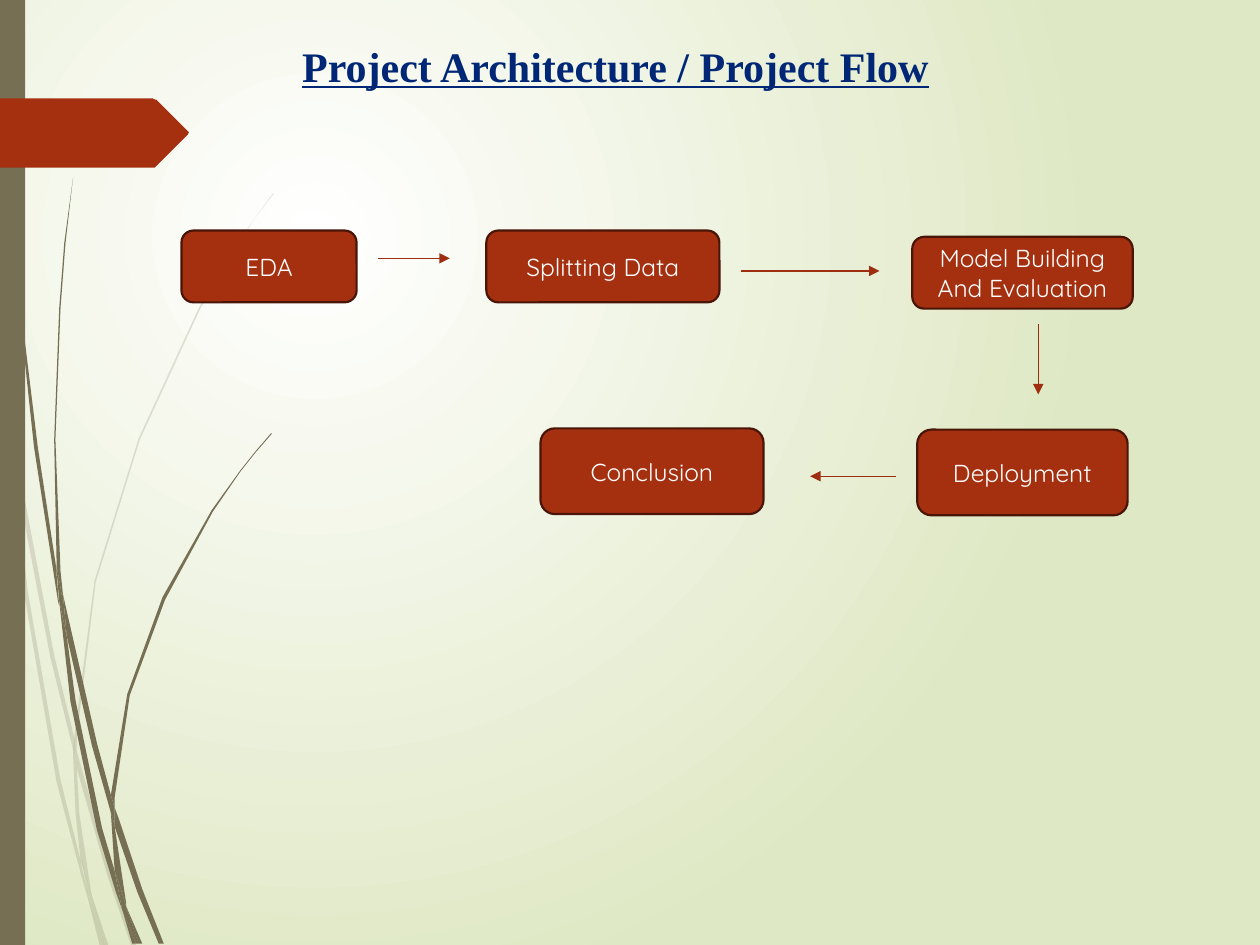
from dataclasses import dataclass

from lxml import etree
from pptx import Presentation
from pptx.dml.color import RGBColor as RGB
from pptx.enum.shapes import MSO_CONNECTOR as CONN, MSO_SHAPE as SHAPE
from pptx.enum.text import MSO_ANCHOR as ANCHOR, MSO_AUTO_SIZE as AUTO, PP_ALIGN as ALIGN
from pptx.oxml.ns import qn
from pptx.util import Inches, Pt


@dataclass(frozen=True)
class Theme:
    accent: RGB = RGB.from_string("A53010")
    border: RGB = RGB.from_string("481507")
    arrow: RGB = RGB.from_string("9E2E0F")
    olive: RGB = RGB.from_string("766F54")
    title: RGB = RGB.from_string("002776")
    white: RGB = RGB.from_string("FFFFFF")
    edge: RGB = RGB.from_string("DFE8C4")
    title_font: str = "Times New Roman"
    node_font: str = "Quicksand"
    title_size: Pt = Pt(24)
    node_size: Pt = Pt(14)
    border_width: Pt = Pt(1.25)
    arrow_width: Pt = Pt(0.75)
    pale_alpha: int = 20


@dataclass(frozen=True)
class Box:
    x: float
    y: float
    w: float
    h: float

    def inches(self):
        return [Inches(v) for v in (self.x, self.y, self.w, self.h)]

    def at(self, x, y):
        return Inches(self.x + x), Inches(self.y + y)


THEME = Theme()

# Grass blades: outline points in inches from the top left of their box
PALE_BLADES = [
    [(.08, 3.5), (.06, 3.22), (0, 2.82), (0, 2.99), (.07, 3.44)],
    [(.4, 5.22), (.59, 5.99), (.59, 5.86), (.43, 5.2), (.1, 3.45), (.12, 3.76)],
    [(.64, 6.07), (.61, 5.96), (.61, 6.1), (.85, 6.94), (1.04, 7.5), (1.08, 7.5),
     (.88, 6.92)],
    [(.83, 7.5), (.86, 7.5), (.73, 7.11)],
    [(.64, 6.83), (.48, 6.19), (.22, 4.69), (.12, 3.76), (.08, 3.5), (.19, 4.7),
     (.45, 6.21), (.64, 6.93), (.7, 7.14), (.69, 7.07)],
    [(.58, 5.99), (.6, 6.46), (.64, 6.83), (.67, 6.92), (.73, 7.11), (.72, 7.06),
     (.63, 6.46), (.61, 6.1), (.61, 6.08)],
    [(.61, 5.84), (.76, 4.62), (1.11, 3.49), (1.59, 2.45), (1.87, 1.98), (2.01, 1.75),
     (2.17, 1.54), (2.17, 1.53), (2.01, 1.75), (1.86, 1.97), (1.58, 2.44),
     (1.1, 3.48), (.75, 4.61), (.59, 5.84), (.59, 5.86), (.61, 5.96)],
    [(.7, 7.14), (.79, 7.5), (.82, 7.5)],
    [(.61, 6.08), (.61, 6.1), (.61, 5.96), (.59, 5.86), (.58, 5.99)],
    [(.67, 6.92), (.65, 6.83), (.69, 7.07), (.7, 7.14), (.82, 7.5), (.83, 7.5),
     (.73, 7.11)],
]
DARK_BLADES = [
    [(.05, 1.1), (.14, 2.33), (.27, 3.55), (.46, 4.77), (.47, 4.81), (.45, 4.57),
     (.45, 4.53), (.3, 3.55), (.15, 2.32), (.06, 1.09), (.04, .48), (.03, 0),
     (.02, 0), (.03, .48)],
    [(.73, 5.92), (.88, 6.45), (.88, 6.33), (.88, 6.31), (.77, 5.9), (.5, 4.72),
     (.53, 5.05)],
    [(.94, 6.49), (.91, 6.41), (.91, 6.56), (1.09, 7.08), (1.26, 7.49), (1.3, 7.49),
     (1.13, 7.06)],
    [(.91, 6.91), (.81, 6.57), (.6, 5.56), (.53, 5.05), (.47, 4.77), (.56, 5.57),
     (.77, 6.59), (.92, 7.08), (.97, 7.22), (.96, 7.17)],
    [(.5, 4.72), (.48, 4.53), (.44, 3.49), (.48, 2.45), (.52, 1.93), (.58, 1.41),
     (.51, 1.93), (.47, 2.45), (.43, 3.49), (.45, 4.49), (.49, 4.72)],
    [(1.1, 7.49), (1.13, 7.49), (1, 7.19)],
    [(.47, 4.77), (.53, 5.05), (.5, 4.72), (.49, 4.72), (.45, 4.49), (.45, 4.53)],
    [(.91, 6.33), (1.03, 5.52), (1.31, 4.76), (1.69, 4.06), (1.91, 3.74), (2.03, 3.59),
     (2.16, 3.44), (2.15, 3.44), (2.03, 3.58), (1.91, 3.73), (1.68, 4.05),
     (1.29, 4.74), (1.01, 5.51), (.88, 6.31), (.91, 6.41)],
    [(.97, 7.22), (1.05, 7.49), (1.08, 7.49)],
    [(.88, 6.45), (.91, 6.91), (.96, 7.06), (1, 7.19), (1, 7.16), (.91, 6.56),
     (.9, 6.51)],
    [(.88, 6.45), (.9, 6.51), (.91, 6.56), (.91, 6.41), (.88, 6.31), (.88, 6.33)],
    [(.96, 7.06), (.91, 6.91), (.96, 7.17), (.97, 7.22), (1.08, 7.49), (1.1, 7.49),
     (1, 7.19)],
]
FLAG = [(1.49, .29), (1.24, .54), (1.23, .55), (1.21, .55), (0, .55), (0, 0),
        (1.21, 0), (1.23, .01), (1.24, .01), (1.49, .26), (1.5, .27)]

# Flow steps and arrows, in inches from the top left of the flow box
STEPS = [
    ("EDA", 0, 0, 1.39, .57),
    ("Splitting Data", 2.42, 0, 1.85, .57),
    ("Model Building\nAnd Evaluation", 5.8, .05, 1.75, .57),
    ("Deployment", 5.84, 1.58, 1.67, .68),
    ("Conclusion", 2.85, 1.57, 1.77, .68),
]
ARROWS = [
    ((1.56, .22), (2.13, .22)),
    ((4.44, .32), (5.54, .32)),
    ((6.8, .74), (6.8, 1.3)),
    ((5.67, 1.95), (4.99, 1.95)),
]


def paint(sp, color):
    sp.shadow.inherit = False
    sp.fill.solid()
    sp.fill.fore_color.rgb = color
    sp.line.fill.background()


def add_outline(shapes, box, points, color, alpha=100):
    start, *rest = [box.at(*point) for point in points]
    builder = shapes.build_freeform(*start)
    builder.add_line_segments(rest, close=True)
    sp = builder.convert_to_shape()
    paint(sp, color)
    if alpha < 100:
        clr = sp._element.spPr.find(qn("a:solidFill"))[0]
        etree.SubElement(clr, qn("a:alpha"), val=str(alpha * 1000))


def set_background(slide):
    fill = slide.background.fill
    fill.gradient()
    for stop, color in zip(fill.gradient_stops, (THEME.white, THEME.edge)):
        stop.color.rgb = color
    # Radial gradient instead of the default linear one
    grad = slide._element.find(".//" + qn("a:gradFill"))
    grad.remove(grad.find(qn("a:lin")))
    radial = etree.SubElement(grad, qn("a:path"), path="circle")
    etree.SubElement(radial, qn("a:fillToRect"), l="50000", t="50000",
                     r="100000", b="100000")


def add_decoration(slide, box):
    # Grass blades
    for blades, alpha in ((PALE_BLADES, THEME.pale_alpha), (DARK_BLADES, 100)):
        group = slide.shapes.add_group_shape()
        for points in blades:
            add_outline(group.shapes, box, points, THEME.olive, alpha)
    # Side bar and flag
    bar = Box(box.x, box.y, 0.2, box.h)
    paint(slide.shapes.add_shape(SHAPE.RECTANGLE, *bar.inches()), THEME.olive)
    flag = Box(box.x, box.y + 0.78, 1.49, 0.56)
    add_outline(slide.shapes, flag, FLAG, THEME.accent)


def add_title(slide, box):
    title = slide.shapes.title
    title.left, title.top, title.width, title.height = box.inches()
    tf = title.text_frame
    tf.text = "Project Architecture / Project Flow"
    tf.auto_size = AUTO.SHAPE_TO_FIT_TEXT
    tf.vertical_anchor = ANCHOR.TOP
    p = tf.paragraphs[0]
    p.alignment = ALIGN.CENTER
    font = p.runs[0].font
    font.name, font.size = THEME.title_font, THEME.title_size
    font.bold = font.underline = True
    font.color.rgb = THEME.title


def add_step(slide, box, text):
    sp = slide.shapes.add_shape(SHAPE.ROUNDED_RECTANGLE, *box.inches())
    paint(sp, THEME.accent)
    sp.line.color.rgb = THEME.border
    sp.line.width = THEME.border_width
    tf = sp.text_frame
    tf.text = text
    tf.vertical_anchor = ANCHOR.MIDDLE
    for p in tf.paragraphs:
        p.alignment = ALIGN.CENTER
        font = p.runs[0].font
        font.name, font.size = THEME.node_font, THEME.node_size
        font.color.rgb = THEME.white


def add_arrow(slide, start, end):
    line = slide.shapes.add_connector(CONN.STRAIGHT, *start, *end)
    line.line.color.rgb = THEME.arrow
    line.line.width = THEME.arrow_width
    etree.SubElement(line.line._get_or_add_ln(), qn("a:tailEnd"), type="triangle")
    etree.SubElement(line._element.spPr, qn("a:effectLst"))


def add_flow(slide, box):
    for text, x, y, w, h in STEPS:
        add_step(slide, Box(box.x + x, box.y + y, w, h), text)
    for start, end in ARROWS:
        add_arrow(slide, box.at(*start), box.at(*end))


def main():
    prs = Presentation()
    prs.slide_width, prs.slide_height = Inches(10), Inches(7.5)
    slide = prs.slides.add_slide(prs.slide_layouts[5])
    set_background(slide)
    add_decoration(slide, Box(0, 0, 2.17, 7.5))
    add_title(slide, Box(0.49, 0.27, 8.79, 0.5))
    add_flow(slide, Box(1.44, 1.83, 7.55, 2.26))
    prs.save("out.pptx")


if __name__ == "__main__":
    main()
